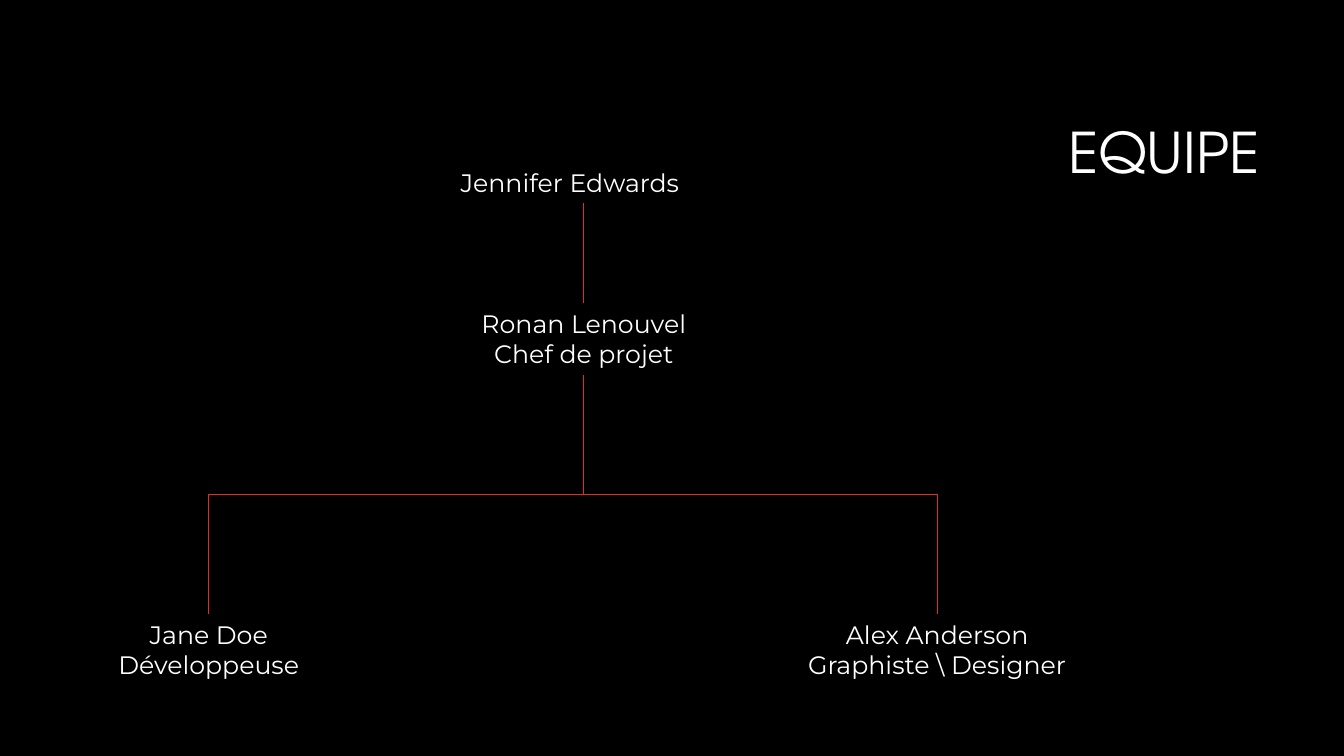
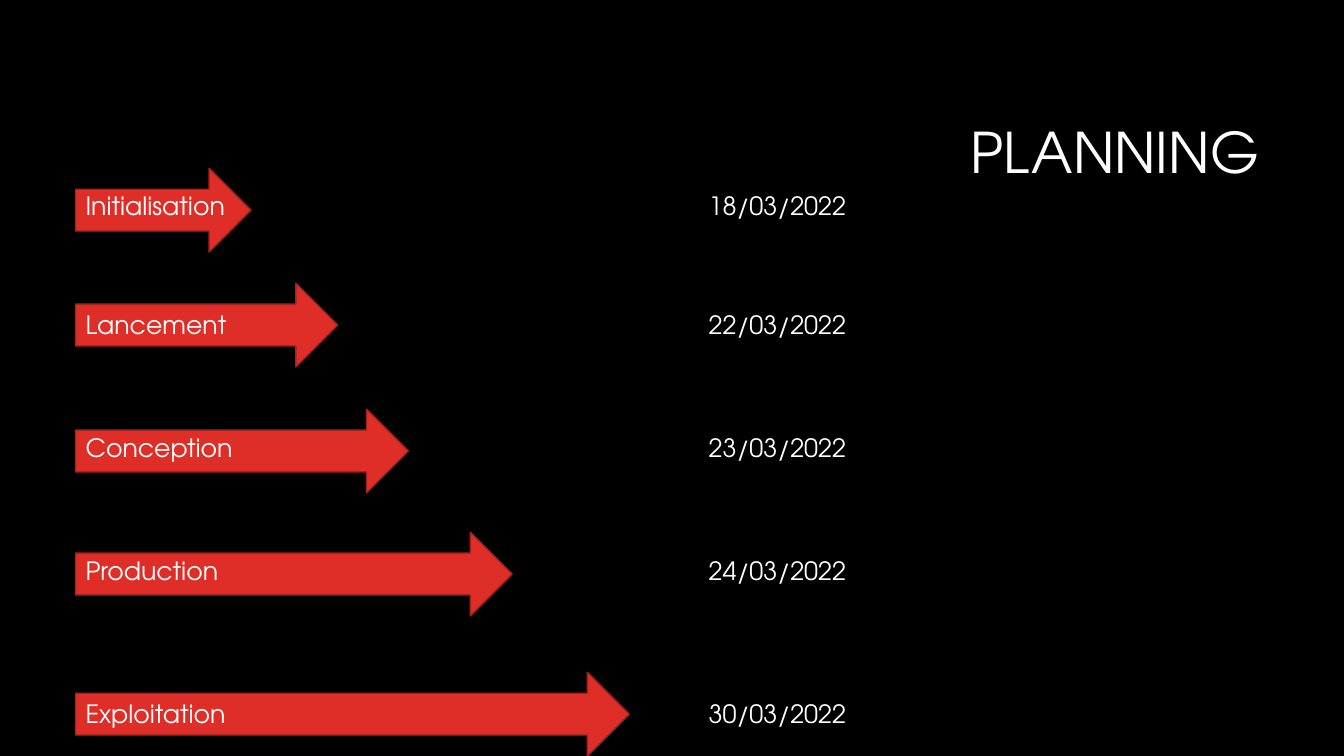
from lxml.etree import SubElement
from pptx import Presentation
from pptx.dml.color import RGBColor
from pptx.enum.shapes import MSO_CONNECTOR as LINE, MSO_SHAPE as SHAPE
from pptx.enum.text import MSO_ANCHOR as ANCHOR, MSO_AUTO_SIZE as FIT, PP_ALIGN as ALIGN
from pptx.oxml.ns import qn
from pptx.util import Inches, Pt


def rgb(value):
    """Turn a hex string into a colour."""
    return RGBColor.from_string(value)


def style(target, values):
    """Set each attribute named in a dict of format values."""
    for name, value in values.items():
        setattr(target, name, value)


class Deck:
    """Hold the shared style, the presentation and the current slide."""

    BLACK, WHITE, RED, DARK_RED = "000000", "FFFFFF", "DF2E28", "A5221E"
    DISPLAY, SANS = "TeX Gyre Adventor", "Montserrat"
    TITLE_BOX = {"left": Inches(3.17), "top": Inches(0.84),
                 "width": Inches(9.42), "height": Inches(1.41)}
    TITLE_FRAME = {"vertical_anchor": ANCHOR.MIDDLE, "word_wrap": True, "auto_size": FIT.NONE}
    TITLE_PARAGRAPH = {"alignment": ALIGN.RIGHT, "line_spacing": 0.9}
    TEXT_FRAME = {"word_wrap": True, "auto_size": FIT.SHAPE_TO_FIT_TEXT}

    def __init__(self):
        """Start a wide presentation on a black background."""
        self.prs = Presentation()
        style(self.prs, {"slide_width": Inches(13.33), "slide_height": Inches(7.5)})
        fill = self.prs.slide_master.background.fill
        fill.solid()
        fill.fore_color.rgb = rgb(self.BLACK)

    def fill_text(self, tf, text, font, size, paragraph):
        """Fill a text frame, one paragraph a line."""
        tf.text = text
        for p in tf.paragraphs:
            style(p, paragraph)
            for r in p.runs:
                style(r.font, {"name": font, "size": Pt(size)})
                r.font.color.rgb = rgb(self.WHITE)

    def slide(self, title):
        """Add a slide with its title."""
        self.s = self.prs.slides.add_slide(self.prs.slide_layouts[5])
        sp = self.s.shapes.title
        style(sp, self.TITLE_BOX)
        style(sp.text_frame, self.TITLE_FRAME)
        self.fill_text(sp.text_frame, title, self.DISPLAY, 40, self.TITLE_PARAGRAPH)

    def text(self, text, left, top, width, height=0.4, font=DISPLAY, align=ALIGN.LEFT):
        """Add a text box."""
        box = self.s.shapes.add_textbox(*map(Inches, (left, top, width, height)))
        style(box.text_frame, self.TEXT_FRAME)
        self.fill_text(box.text_frame, text, font, 18, {"alignment": align})

    def arrow(self, left, top, width, height=0.83):
        """Add a red block arrow."""
        sp = self.s.shapes.add_shape(SHAPE.RIGHT_ARROW, *map(Inches, (left, top, width, height)))
        sp.shadow.inherit = False
        sp.fill.solid()
        sp.fill.fore_color.rgb = rgb(self.RED)
        sp.line.color.rgb = rgb(self.DARK_RED)
        sp.line.width = Pt(1)

    def connector(self, kind, *ends):
        """Add a thin red connector."""
        line = self.s.shapes.add_connector(kind, *map(Inches, ends))
        line.line.color.rgb = rgb(self.RED)
        line.line.width = Pt(0.75)
        SubElement(line._element.spPr, qn("a:effectLst"))
        return line

    def branch(self, x1, y1, x2, y2):
        """Add an elbow that leaves downwards, turns halfway and ends downwards."""
        cx, cy = (x1 + x2) / 2, (y1 + y2) / 2
        half_w, half_h = (y2 - y1) / 2, abs(x2 - x1) / 2
        angle = 90
        if x2 > x1:
            half_w, angle = -half_w, 270
        line = self.connector(LINE.ELBOW, cx - half_w, cy - half_h, cx + half_w, cy + half_h)
        line._element.spPr.find(qn("a:xfrm")).set("rot", str(angle * 60000))


def team(deck):
    """Build the organisation chart."""
    deck.slide("EQUIPE")
    trunk, lead_top, lead_bottom, member_top = 5.79, 3.01, 3.72, 6.09
    deck.text("Jennifer Edwards", 4.47, 1.61, 2.64, font=deck.SANS)
    people = [
        ("Ronan Lenouvel\nChef de projet", 4.47, lead_top, 2.64),
        ("Jane Doe\nDéveloppeuse", 0.75, member_top, 2.64),
        ("Alex Anderson\nGraphiste \\ Designer", 7.76, member_top, 3.07),
    ]
    for person in people:
        deck.text(*person, height=0.71, font=deck.SANS, align=ALIGN.CENTER)
    deck.connector(LINE.STRAIGHT, trunk, 2.01, trunk, lead_top)
    for member_x in (2.07, 9.3):
        deck.branch(trunk, lead_bottom, member_x, member_top)


def planning(deck):
    """Build the schedule of phases."""
    deck.slide("PLANNING")
    phases = [
        ("Initialisation", "18/03/2022", 1.84, 1.67, 1.74),
        ("Lancement", "22/03/2022", 3.02, 2.81, 2.6),
        ("Conception", "23/03/2022", 4.24, 4.06, 3.3),
        ("Production", "24/03/2022", 5.46, 5.28, 4.33),
        ("Exploitation", "30/03/2022", 6.88, 6.67, 5.49),
    ]
    for phase, date, text_top, arrow_top, length in phases:
        deck.arrow(0.75, arrow_top, length)
        deck.text(phase, 0.75, text_top, 1.85)
        deck.text(date, 6.93, text_top, 1.74)


def main():
    """Build and save the presentation."""
    deck = Deck()
    team(deck)
    planning(deck)
    deck.prs.save("out.pptx")


if __name__ == "__main__":
    main()
